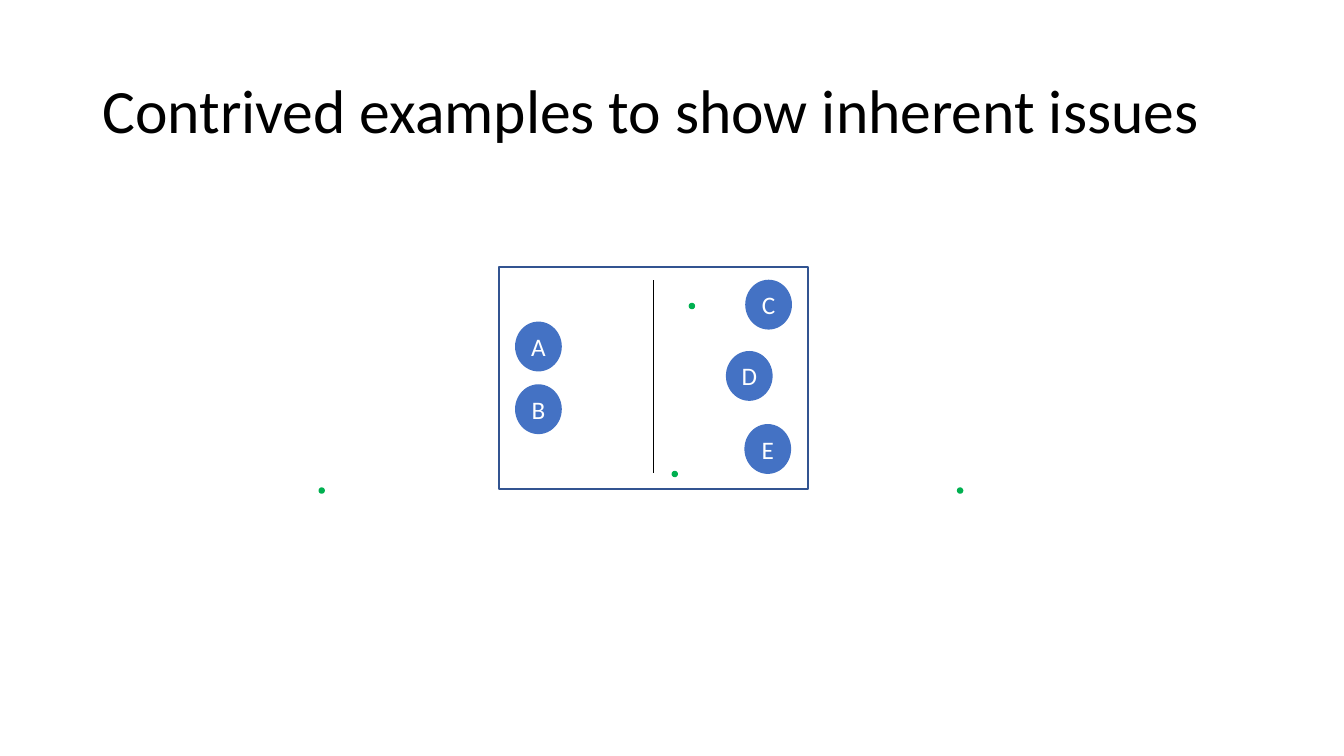
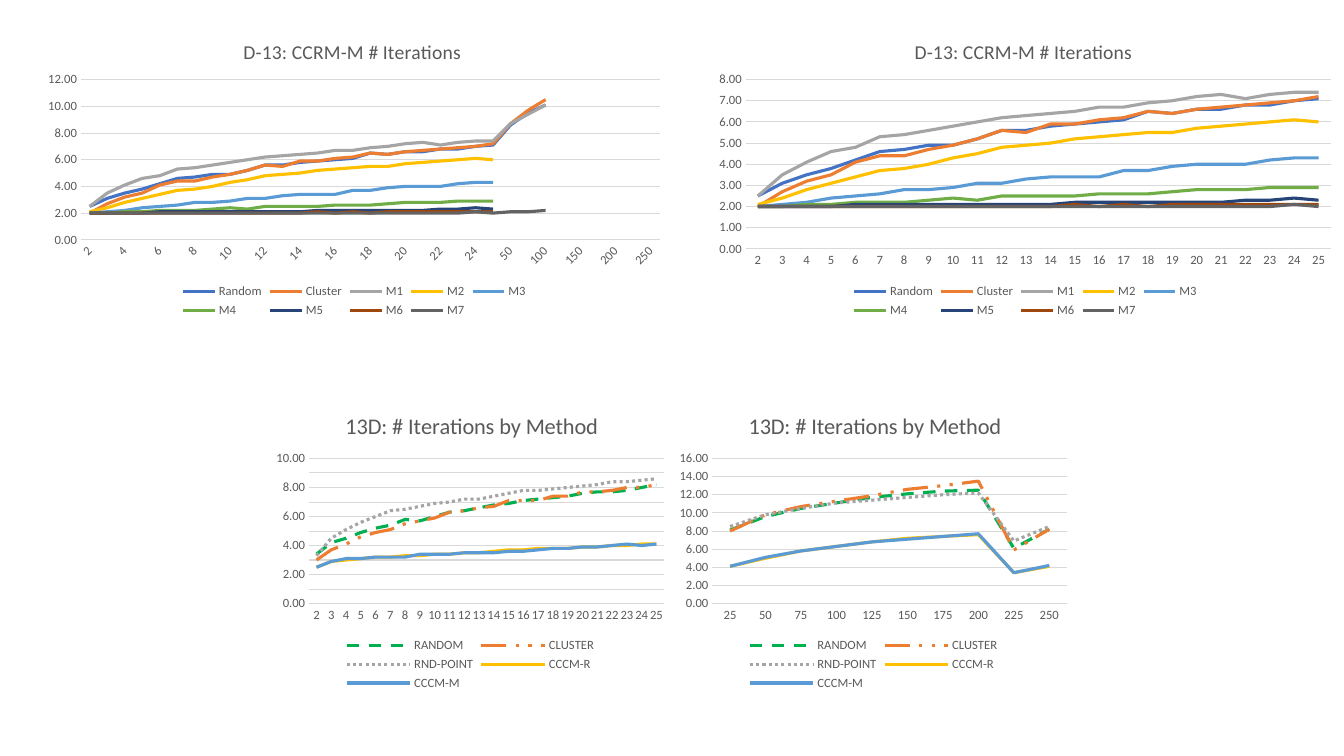
from lxml import etree
from pptx import Presentation
from pptx.chart.data import CategoryChartData
from pptx.dml.color import RGBColor
from pptx.enum.chart import XL_CHART_TYPE, XL_LEGEND_POSITION, XL_TICK_MARK
from pptx.enum.dml import MSO_LINE
from pptx.enum.shapes import MSO_CONNECTOR, MSO_SHAPE
from pptx.enum.text import MSO_ANCHOR, PP_ALIGN
from pptx.oxml.ns import qn
from pptx.util import Pt

RECTANGLE, OVAL = MSO_SHAPE.RECTANGLE, MSO_SHAPE.OVAL
STRAIGHT = MSO_CONNECTOR.STRAIGHT
LEFT, CENTER, MIDDLE = PP_ALIGN.LEFT, PP_ALIGN.CENTER, MSO_ANCHOR.MIDDLE
LINE_CHART, BOTTOM, NO_TICKS = XL_CHART_TYPE.LINE, XL_LEGEND_POSITION.BOTTOM, XL_TICK_MARK.NONE
DASH, DASH_DOT_DOT, DOT = MSO_LINE.DASH, MSO_LINE.DASH_DOT_DOT, MSO_LINE.ROUND_DOT

FONT = "Calibri"
BLACK = RGBColor(0x00, 0x00, 0x00)
WHITE = RGBColor(0xFF, 0xFF, 0xFF)
FRAME_BLUE = RGBColor(0x32, 0x54, 0x91)
BLUE = RGBColor(0x44, 0x72, 0xC4)
GREEN = RGBColor(0x00, 0xB0, 0x50)
LABEL_GRAY = RGBColor(0x59, 0x59, 0x59)
GRID_GRAY = RGBColor(0xD9, 0xD9, 0xD9)
ORANGE = RGBColor(0xED, 0x7D, 0x31)
GRAY = RGBColor(0xA5, 0xA5, 0xA5)
GOLD = RGBColor(0xFF, 0xC0, 0x00)
LIGHT_BLUE = RGBColor(0x5B, 0x9B, 0xD5)
LEAF = RGBColor(0x70, 0xAD, 0x47)
NAVY = RGBColor(0x26, 0x44, 0x78)
BROWN = RGBColor(0x9E, 0x48, 0x0E)
DARK_GRAY = RGBColor(0x63, 0x63, 0x63)

# Category label rotation, in 60000ths of a degree
AUTO_ROTATION, SLANTED = -60000000, -2700000

# Chart data: iterations against number of clusters
SMALL_K = list(range(2, 26))
LARGE_K = list(range(25, 251, 25))

# name, colour, values for SMALL_K, values from 50 on
CCRM_SERIES = [
    ("Random", BLUE,
     [2.5, 3.1, 3.5, 3.8, 4.2, 4.6, 4.7, 4.9, 4.9, 5.2, 5.6, 5.6,
      5.8, 5.9, 6, 6.1, 6.5, 6.4, 6.6, 6.6, 6.8, 6.8, 7, 7.1], [8.6, 9.5, 10.1]),
    ("Cluster", ORANGE,
     [2, 2.7, 3.2, 3.5, 4.1, 4.4, 4.4, 4.7, 4.9, 5.2, 5.6, 5.5,
      5.9, 5.9, 6.1, 6.2, 6.5, 6.4, 6.6, 6.7, 6.8, 6.9, 7, 7.2], [8.7, 9.7, 10.5]),
    ("M1", GRAY,
     [2.5, 3.5, 4.1, 4.6, 4.8, 5.3, 5.4, 5.6, 5.8, 6, 6.2, 6.3,
      6.4, 6.5, 6.7, 6.7, 6.9, 7, 7.2, 7.3, 7.1, 7.3, 7.4, 7.4], [8.7, 9.4, 10.1]),
    ("M2", GOLD,
     [2.1, 2.4, 2.8, 3.1, 3.4, 3.7, 3.8, 4, 4.3, 4.5, 4.8, 4.9,
      5, 5.2, 5.3, 5.4, 5.5, 5.5, 5.7, 5.8, 5.9, 6, 6.1, 6], []),
    ("M3", LIGHT_BLUE,
     [2, 2.1, 2.2, 2.4, 2.5, 2.6, 2.8, 2.8, 2.9, 3.1, 3.1, 3.3,
      3.4, 3.4, 3.4, 3.7, 3.7, 3.9, 4, 4, 4, 4.2, 4.3, 4.3], []),
    ("M4", LEAF,
     [2, 2, 2.1, 2.1, 2.2, 2.2, 2.2, 2.3, 2.4, 2.3, 2.5, 2.5,
      2.5, 2.5, 2.6, 2.6, 2.6, 2.7, 2.8, 2.8, 2.8, 2.9, 2.9, 2.9], []),
    ("M5", NAVY,
     [2] * 4 + [2.1] * 9 + [2.2] * 7 + [2.3, 2.3, 2.4, 2.3], []),
    ("M6", BROWN,
     [2] * 13 + [2.1, 2, 2.1, 2] + [2.1] * 7, []),
    ("M7", DARK_GRAY, [2] * 22 + [2.1, 2], [2.1, 2.1, 2.2]),
]

# name, colour, dash, values for SMALL_K, values for LARGE_K
METHOD_SERIES = [
    ("RANDOM", GREEN, DASH,
     [3.4, 4.2, 4.5, 4.9, 5.2, 5.4, 5.8, 5.7, 6, 6.3, 6.4, 6.6,
      6.8, 6.9, 7.1, 7.2, 7.3, 7.4, 7.6, 7.7, 7.7, 7.8, 8, 8.2],
     [8.1, 9.6, 10.5, 11.1, 11.7, 12.1, 12.4, 12.5, 6.1, 8.2]),
    ("CLUSTER", ORANGE, DASH_DOT_DOT,
     [3, 3.7, 4.1, 4.6, 4.9, 5.1, 5.5, 5.7, 5.9, 6.3, 6.4, 6.6,
      6.7, 7.1, 7.1, 7.1, 7.4, 7.4, 7.7, 7.7, 7.8, 8, 8, 8.2],
     [8, 9.8, 10.7, 11.3, 11.9, 12.6, 13, 13.5, 5.9, 8.2]),
    ("RND-POINT", GRAY, DOT,
     [3.3, 4.5, 5.1, 5.6, 6, 6.4, 6.5, 6.7, 6.9, 7, 7.2, 7.2,
      7.4, 7.6, 7.8, 7.8, 7.9, 8, 8.1, 8.2, 8.4, 8.4, 8.5, 8.6],
     [8.5, 9.8, 10.5, 11.1, 11.4, 11.7, 12, 12.2, 6.9, 8.5]),
    ("CCCM-R", GOLD, None,
     [2.5, 2.9, 3, 3.1, 3.2, 3.2, 3.3, 3.3, 3.4, 3.4, 3.5, 3.5,
      3.6, 3.7, 3.7, 3.8, 3.8, 3.8, 3.9, 3.9, 4, 4, 4.1, 4.1],
     [4.1, 5, 5.8, 6.3, 6.8, 7.2, 7.4, 7.6, 3.4, 4.1]),
    ("CCCM-M", LIGHT_BLUE, None,
     [2.5, 2.9, 3.1, 3.1, 3.2, 3.2, 3.2, 3.4, 3.4, 3.4, 3.5, 3.5,
      3.5, 3.6, 3.6, 3.7, 3.8, 3.8, 3.9, 3.9, 4, 4.1, 4, 4.1],
     [4.1, 5.1, 5.8, 6.3, 6.8, 7.1, 7.4, 7.7, 3.4, 4.2]),
]


def style_font(font, size, color):
    font.name, font.size, font.color.rgb = FONT, Pt(size), color


def add_title(slide, text):
    title = slide.shapes.title
    title.left, title.top, title.width, title.height = Pt(66), Pt(28.75), Pt(828), Pt(104.4)
    frame = title.text_frame
    frame.text = text
    frame.vertical_anchor = MIDDLE
    paragraph = frame.paragraphs[0]
    paragraph.alignment, paragraph.line_spacing = LEFT, 0.9
    style_font(paragraph.runs[0].font, 44, BLACK)


def add_figure(slide, kind, box, line_color, line_width, fill=None):
    figure = slide.shapes.add_shape(kind, *map(Pt, box))
    figure.shadow.inherit = False
    figure.line.color.rgb, figure.line.width = line_color, Pt(line_width)
    if fill is None:
        figure.fill.background()
    else:
        figure.fill.solid()
        figure.fill.fore_color.rgb = fill
    return figure


def add_node(slide, letter, left, top):
    node = add_figure(slide, OVAL, (left, top, 32.4, 34.6), BLUE, 1, BLUE)
    frame = node.text_frame
    frame.margin_left = frame.margin_right = frame.margin_top = frame.margin_bottom = 0
    frame.vertical_anchor = MIDDLE
    frame.text = letter
    frame.paragraphs[0].alignment = CENTER
    style_font(frame.paragraphs[0].runs[0].font, 18, WHITE)


def add_divider(slide, x, top, bottom):
    divider = slide.shapes.add_connector(STRAIGHT, Pt(x), Pt(top), Pt(x), Pt(bottom))
    divider.line.color.rgb, divider.line.width = BLACK, Pt(0.5)
    etree.SubElement(divider.element.spPr, qn("a:effectLst"))


def set_layout(parent, index, **settings):
    """Give a chart part a manual layout in fractions of the chart."""
    for old in parent.findall(qn("c:layout")):
        parent.remove(old)
    layout = etree.Element(qn("c:layout"))
    parent.insert(index, layout)
    manual = etree.SubElement(layout, qn("c:manualLayout"))
    for tag, value in settings.items():
        etree.SubElement(manual, qn("c:" + tag)).set("val", str(value))


def add_line_chart(slide, box, title, categories, series, scale, plot_box,
                   rotation=AUTO_ROTATION):
    """title is (text, size, x, y); scale is (maximum, step)."""
    data = CategoryChartData(number_format="0.00")
    data.categories = [str(k) for k in categories]
    for name, _, _, values in series:
        data.add_series(name, values)
    chart = slide.shapes.add_chart(LINE_CHART, *map(Pt, box), data).chart
    style_font(chart.font, 10, BLACK)

    # Title and plot area
    text, size, title_x, title_y = title
    chart.has_title = True
    heading = chart.chart_title
    heading.text_frame.text = text
    run_font = heading.text_frame.paragraphs[0].runs[0].font
    style_font(run_font, size, LABEL_GRAY)
    run_font.bold = False
    set_layout(heading.element, 1, xMode="edge", yMode="edge", x=title_x, y=title_y)
    x, y, width, height = plot_box
    plot_area = chart.element.find(".//" + qn("c:plotArea"))
    set_layout(plot_area, 0, layoutTarget="inner",
               xMode="edge", yMode="edge", x=x, y=y, w=width, h=height)

    # Legend
    chart.has_legend = True
    chart.legend.position = BOTTOM
    chart.legend.include_in_layout = False
    style_font(chart.legend.font, 9, LABEL_GRAY)

    # Axes
    category_axis, value_axis = chart.category_axis, chart.value_axis
    for axis in (category_axis, value_axis):
        axis.major_tick_mark = axis.minor_tick_mark = NO_TICKS
        style_font(axis.tick_labels.font, 9, LABEL_GRAY)
    label_body = plot_area.find("/".join(map(qn, ("c:catAx", "c:txPr", "a:bodyPr"))))
    label_body.set("rot", str(rotation))
    label_body.set("vert", "horz")
    value_axis.minimum_scale = 0
    value_axis.maximum_scale, value_axis.major_unit = scale
    value_axis.tick_labels.number_format = "0.00"
    value_axis.tick_labels.number_format_is_linked = False
    value_axis.format.line.fill.background()
    for line in (category_axis.format.line, value_axis.major_gridlines.format.line):
        line.color.rgb, line.width = GRID_GRAY, Pt(0.75)

    # Series
    chart.plots[0].vary_by_categories = False
    for plotted, (_, color, dash, _) in zip(chart.plots[0].series, series):
        plotted.smooth = False
        line = plotted.format.line
        line.color.rgb, line.width = color, Pt(2.25)
        if dash is not None:
            line.dash_style = dash


def build_examples(prs):
    slide = prs.slides.add_slide(prs.slide_layouts[5])
    add_title(slide, "Contrived examples to show inherent issues")
    add_figure(slide, RECTANGLE, (356.4, 190.8, 220.5, 158.4), FRAME_BLUE, 1.5)
    for letter, left, top in (("A", 368.4, 230.2), ("B", 368.4, 275), ("C", 532.8, 200.3),
                              ("D", 519, 251.2), ("E", 532.2, 303.4)):
        add_node(slide, letter, left, top)
    add_divider(slide, 466.8, 200.2, 337.7)
    for left, top in ((480.2, 336.8), (492.4, 216.8), (228, 348.6), (684, 348.6)):
        add_figure(slide, OVAL, (left, top, 3.6, 3.6), GREEN, 1, GREEN)


def build_iterations(prs):
    slide = prs.slides.add_slide(prs.slide_layouts[6])

    # Upper charts: full range, then small range
    ccrm_title = ("D-13: CCRM-M # Iterations", 14, 0.32, 0.05)
    extended_k = SMALL_K + LARGE_K[1:]
    full = [(name, color, None, small + large + [None] * (len(extended_k) - len(small + large)))
            for name, color, small, large in CCRM_SERIES]
    small_only = [(name, color, None, small) for name, color, small, _ in CCRM_SERIES]
    add_line_chart(slide, (26, 13.7, 454.3, 216), ccrm_title, extended_k, full,
                   (12, 2), (0.07, 0.2, 0.91, 0.53), SLANTED)
    add_line_chart(slide, (505.4, 13.7, 454.3, 216), ccrm_title, SMALL_K, small_only,
                   (8, 1), (0.06, 0.2, 0.92, 0.56))

    # Lower charts: small range, then large range
    method_title = ("13D: # Iterations by Method", 16, 0.18, 0.05)
    for column, (categories, scale) in enumerate(((SMALL_K, (10, 1)), (LARGE_K, (16, 2)))):
        series = [(name, color, dash, ranges[column])
                  for name, color, dash, *ranges in METHOD_SERIES]
        add_line_chart(slide, (192 + 288 * column, 280, 288, 216), method_title,
                       categories, series, scale, (0.1, 0.22, 0.88, 0.48))


def main():
    prs = Presentation()
    prs.slide_width, prs.slide_height = Pt(960), Pt(540)
    build_examples(prs)
    build_iterations(prs)
    prs.save("out.pptx")


if __name__ == "__main__":
    main()
